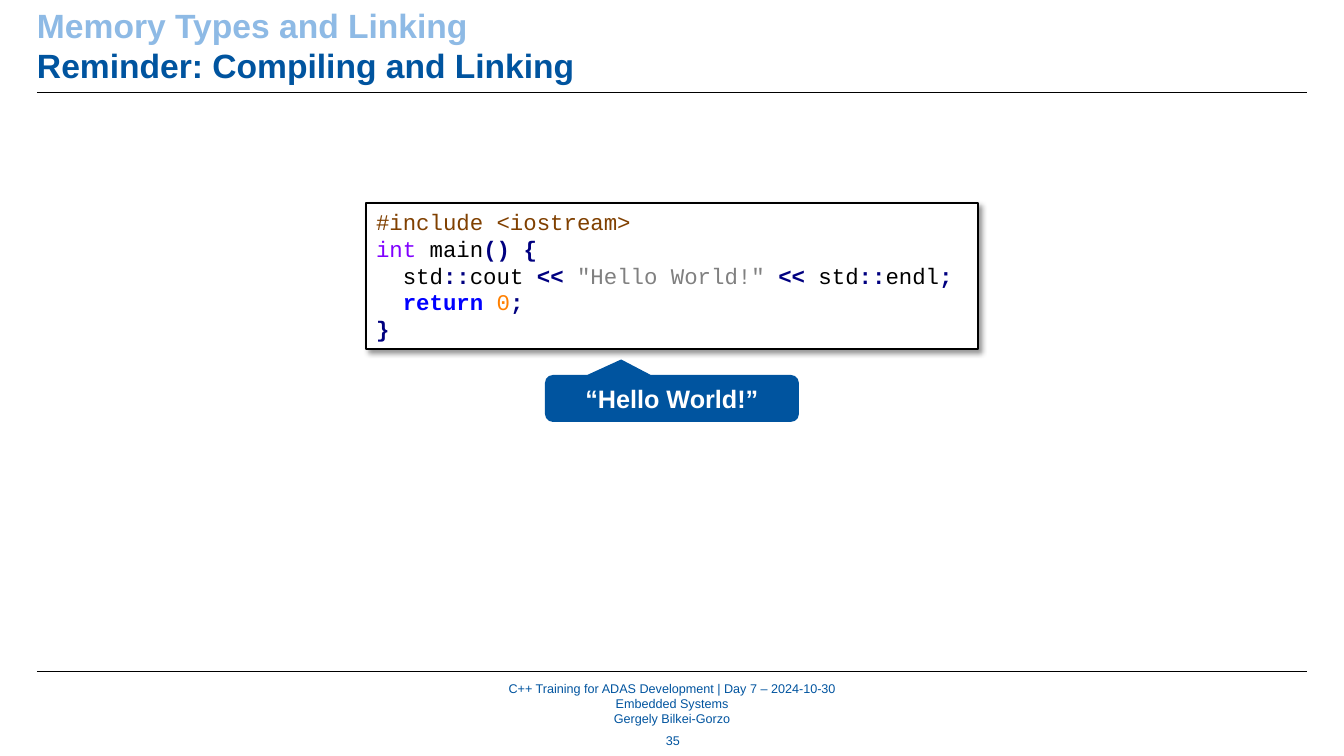
from lxml import etree
from pptx import Presentation
from pptx.dml.color import RGBColor
from pptx.enum.shapes import MSO_CONNECTOR, MSO_SHAPE
from pptx.enum.text import MSO_ANCHOR, PP_ALIGN
from pptx.oxml.ns import qn
from pptx.util import Emu, Pt

LEFT, CENTER = PP_ALIGN.LEFT, PP_ALIGN.CENTER
TOP, MIDDLE = MSO_ANCHOR.TOP, MSO_ANCHOR.MIDDLE
RECT, CALLOUT = MSO_SHAPE.RECTANGLE, MSO_SHAPE.ROUNDED_RECTANGULAR_CALLOUT
STRAIGHT = MSO_CONNECTOR.STRAIGHT

BLUE = RGBColor(0x00, 0x54, 0x9F)
LIGHT_BLUE = RGBColor(0x8E, 0xBA, 0xE5)
WHITE = RGBColor(0xFF, 0xFF, 0xFF)
BLACK = RGBColor(0x00, 0x00, 0x00)
BROWN = RGBColor(0x80, 0x40, 0x00)
PURPLE = RGBColor(0x80, 0x00, 0xFF)
NAVY = RGBColor(0x00, 0x00, 0x80)
GRAY = RGBColor(0x80, 0x80, 0x80)
KEY_BLUE = RGBColor(0x00, 0x00, 0xFF)
ORANGE = RGBColor(0xFF, 0x80, 0x00)

# Content: a paragraph is a list of (text, style) runs
STYLES = {  # style: (colour, bold)
    "chapter": (LIGHT_BLUE, True), "heading": (BLUE, True),
    "footer": (BLUE, False), "callout": (WHITE, True),
    "plain": (BLACK, False), "include": (BROWN, False),
    "type": (PURPLE, False), "op": (NAVY, True),
    "string": (GRAY, False), "keyword": (KEY_BLUE, True),
    "number": (ORANGE, False),
}
TITLE = [[("Memory Types and Linking", "chapter")],
         [("Reminder: Compiling and Linking", "heading")]]
CODE = [
    [("#include <iostream>", "include")],
    [("int", "type"), (" main", "plain"), ("()", "op"), (" ", "plain"),
     ("{", "op")],
    [("  std", "plain"), ("::", "op"), ("cout ", "plain"), ("<<", "op"),
     (" ", "plain"), ('"Hello World!"', "string"), (" ", "plain"),
     ("<<", "op"), (" std", "plain"), ("::", "op"), ("endl", "plain"),
     (";", "op")],
    [("  ", "plain"), ("return", "keyword"), (" ", "plain"),
     ("0", "number"), (";", "op")],
    [("}", "op")],
]
OUTPUT = [[("“Hello World!”", "callout")]]
FOOTER = [[(line, "footer")] for line in (
    "C++ Training for ADAS Development | Day 7 – 2024-10-30",
    "Embedded Systems", "Gergely Bilkei-Gorzo")]
PAGE = [[("35", "footer")]]

# Layout in px
WIDTH, HEIGHT = 1344, 756
MARGIN, INNER = 37, 1270
RULES = (92, 671)


def px(n):
    return Emu(round(n * 914400 / 100.8))


def box(*lengths):
    return [px(n) for n in lengths]


def write(tf, paragraphs, size, font="Arial", align=LEFT, anchor=TOP,
          insets=(0, 0, 0, 0)):
    tf.word_wrap = True
    tf.vertical_anchor = anchor
    (tf.margin_left, tf.margin_top,
     tf.margin_right, tf.margin_bottom) = box(*insets)
    for i, runs in enumerate(paragraphs):
        p = tf.add_paragraph() if i else tf.paragraphs[0]
        p.alignment = align
        p.line_spacing = 1.0
        p.space_before = Pt(0)
        for text, style in runs:
            r = p.add_run()
            r.text = text
            r.font.name, r.font.size = font, Pt(size)
            r.font.color.rgb, r.font.bold = STYLES[style]


def add_shape(s, kind, place, fill):
    sp = s.shapes.add_shape(kind, *box(*place))
    sp.shadow.inherit = False
    sp.fill.solid()
    sp.fill.fore_color.rgb = fill
    sp.line.fill.background()
    return sp


def add_shadow(sp):
    effects = sp._element.spPr.find(qn("a:effectLst"))
    shadow = etree.SubElement(effects, qn("a:outerShdw"), blurRad=str(Pt(4)),
                              dist=str(Pt(3)), dir="2700000", algn="tl",
                              rotWithShape="0")
    color = etree.SubElement(shadow, qn("a:srgbClr"), val=str(BLACK))
    etree.SubElement(color, qn("a:alpha"), val="40000")


def main():
    prs = Presentation()
    prs.slide_width, prs.slide_height = box(WIDTH, HEIGHT)
    s = prs.slides.add_slide(prs.slide_layouts[5])

    # Title
    title = s.shapes.title
    title.left, title.top, title.width, title.height = box(MARGIN, 5, INNER, 82)
    write(title.text_frame, TITLE, 24, anchor=TOP)

    # Rules under the title and above the footer
    for y in RULES:
        rule = s.shapes.add_connector(
            STRAIGHT, *box(MARGIN, y, MARGIN + INNER, y))
        rule.line.color.rgb = BLACK
        rule.line.width = Pt(0.5)
        etree.SubElement(rule._element.spPr, qn("a:effectLst"))

    # Code listing
    code = add_shape(s, RECT, (366, 203, 612, 146), WHITE)
    code.line.color.rgb = BLACK
    code.line.width = Pt(1.5)
    add_shadow(code)
    write(code.text_frame, CODE, 16, font="Courier New",
          insets=(10, 5, 10, 5))

    # Program output
    callout = add_shape(s, CALLOUT, (545, 375, 254, 47), BLUE)
    for i, value in enumerate((-0.2, -0.83, 0.17)):
        callout.adjustments[i] = value
    write(callout.text_frame, OUTPUT, 18, align=CENTER, anchor=MIDDLE)

    # Footer and page number
    for place, text in (((346, 680, 652, 47), FOOTER),
                        ((647, 727, 52, 26), PAGE)):
        tb = s.shapes.add_textbox(*box(*place))
        write(tb.text_frame, text, 9, align=CENTER, anchor=MIDDLE)

    prs.save("out.pptx")


if __name__ == "__main__":
    main()
